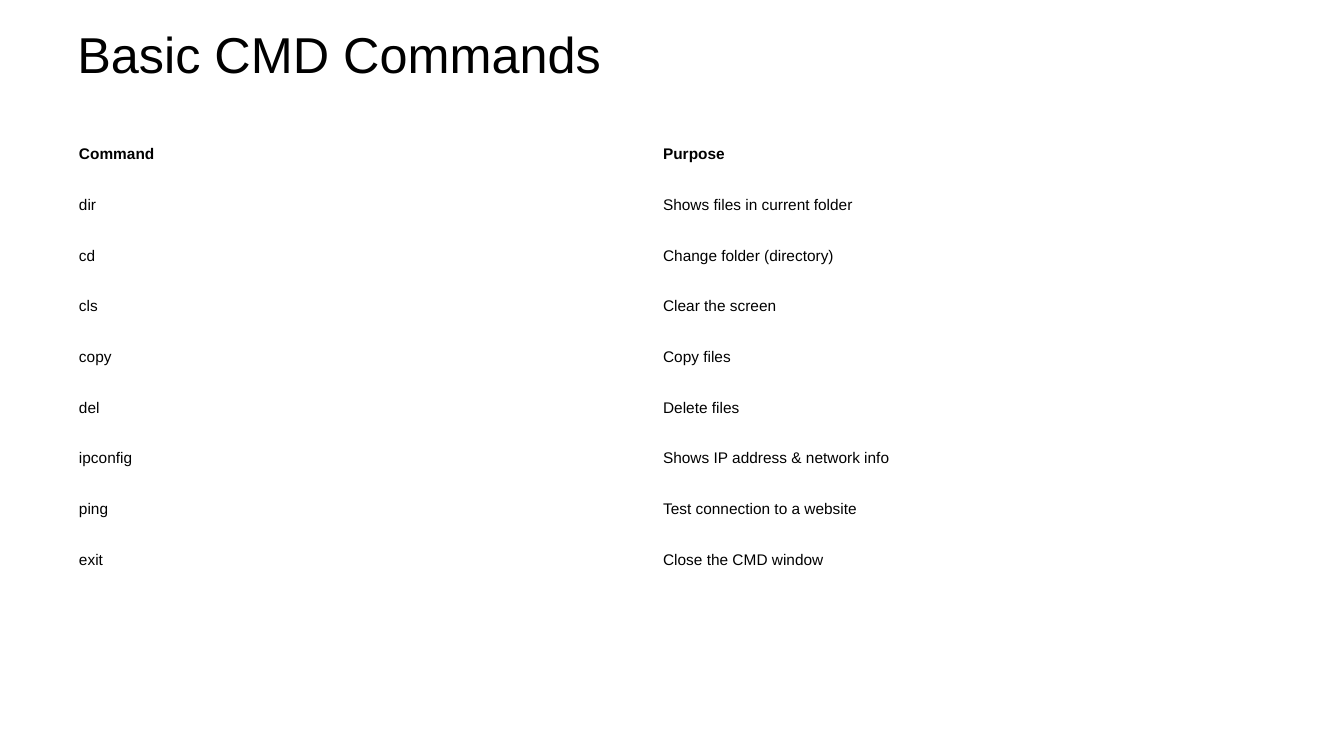
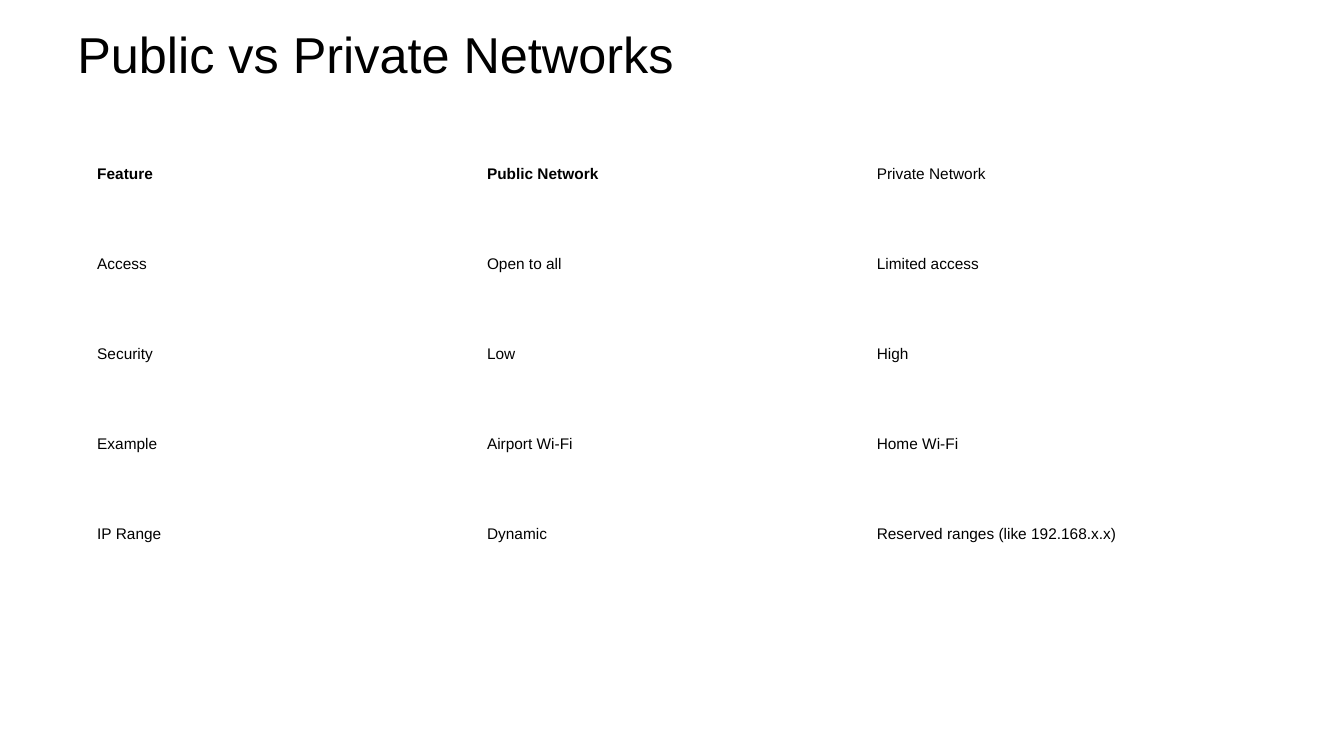
from dataclasses import dataclass

from pptx import Presentation
from pptx.dml.color import RGBColor as RGB
from pptx.enum.text import MSO_ANCHOR as Anchor
from pptx.oxml.ns import qn
from pptx.util import Cm, Pt


@dataclass(frozen=True)
class Theme:
    """Colours, type and table style shared by all slides."""
    font: str = "Arial"
    ink: RGB = RGB(0, 0, 0)
    paper: RGB = RGB(255, 255, 255)
    title_size: int = 36
    body_size: int = 11
    no_grid_style: str = "{2D5ABB26-0587-4C30-8999-92F81FD0307C}"


@dataclass(frozen=True)
class Box:
    """A region of a slide, in centimetres."""
    left: float
    top: float
    width: float
    height: float

    def place(self):
        """Return the box as lengths."""
        return Cm(self.left), Cm(self.top), Cm(self.width), Cm(self.height)


THEME = Theme()
TITLE_BOX = Box(1.7, 0.53, 30.48, 1.63)

COMMANDS = [
    ("Command", "Purpose"),
    ("dir", "Shows files in current folder"),
    ("cd", "Change folder (directory)"),
    ("cls", "Clear the screen"),
    ("copy", "Copy files"),
    ("del", "Delete files"),
    ("ipconfig", "Shows IP address & network info"),
    ("ping", "Test connection to a website"),
    ("exit", "Close the CMD window"),
]

NETWORKS = [
    ("Feature", "Public Network", "Private Network"),
    ("Access", "Open to all", "Limited access"),
    ("Security", "Low", "High"),
    ("Example", "Airport Wi-Fi", "Home Wi-Fi"),
    ("IP Range", "Dynamic", "Reserved ranges (like 192.168.x.x)"),
]


def set_text(tf, text, size, bold=False):
    """Write one paragraph in the theme font."""
    p = tf.paragraphs[0]
    p.text = text
    p.font.name = THEME.font
    p.font.size = Pt(size)
    p.font.bold = bold
    p.font.color.rgb = THEME.ink


def add_title(slide, box, text):
    """Add the slide title, centred vertically in its box."""
    tf = slide.shapes.add_textbox(*box.place()).text_frame
    tf.word_wrap = True
    tf.vertical_anchor = Anchor.MIDDLE
    set_text(tf, text, THEME.title_size)


def add_plain_table(slide, box, rows, bold_heads):
    """Add an even table without fill or borders, its first bold_heads headings bold."""
    n_rows, n_cols = len(rows), len(rows[0])
    frame = slide.shapes.add_table(n_rows, n_cols, *box.place())
    for style_id in frame.element.iter(qn("a:tableStyleId")):
        style_id.text = THEME.no_grid_style
    table = frame.table
    table.first_row = table.horz_banding = False
    for col in table.columns:
        col.width = Cm(box.width / n_cols)
    for row in table.rows:
        row.height = Cm(box.height / n_rows)
    for i, values in enumerate(rows):
        for j, value in enumerate(values):
            cell = table.cell(i, j)
            cell.fill.background()
            cell.vertical_anchor = Anchor.MIDDLE
            cell.margin_left = cell.margin_right = 0
            cell.margin_top = cell.margin_bottom = 0
            bold = i == 0 and j < bold_heads
            set_text(cell.text_frame, value, THEME.body_size, bold)


def add_table_slide(prs, title, box, rows, bold_heads=2):
    """Add a slide with a title and a table."""
    slide = prs.slides.add_slide(prs.slide_layouts[6])
    fill = slide.background.fill
    fill.solid()
    fill.fore_color.rgb = THEME.paper
    add_title(slide, TITLE_BOX, title)
    add_plain_table(slide, box, rows, bold_heads)


def main():
    """Build and save the presentation."""
    prs = Presentation()
    prs.slide_width, prs.slide_height = Cm(33.87), Cm(19.05)
    add_table_slide(prs, "Basic CMD Commands", Box(1.99, 3.25, 29.44, 11.5), COMMANDS)
    add_table_slide(prs, "Public vs Private Networks", Box(2.45, 3.25, 29.47, 11.34), NETWORKS)
    prs.save("out.pptx")


if __name__ == "__main__":
    main()
